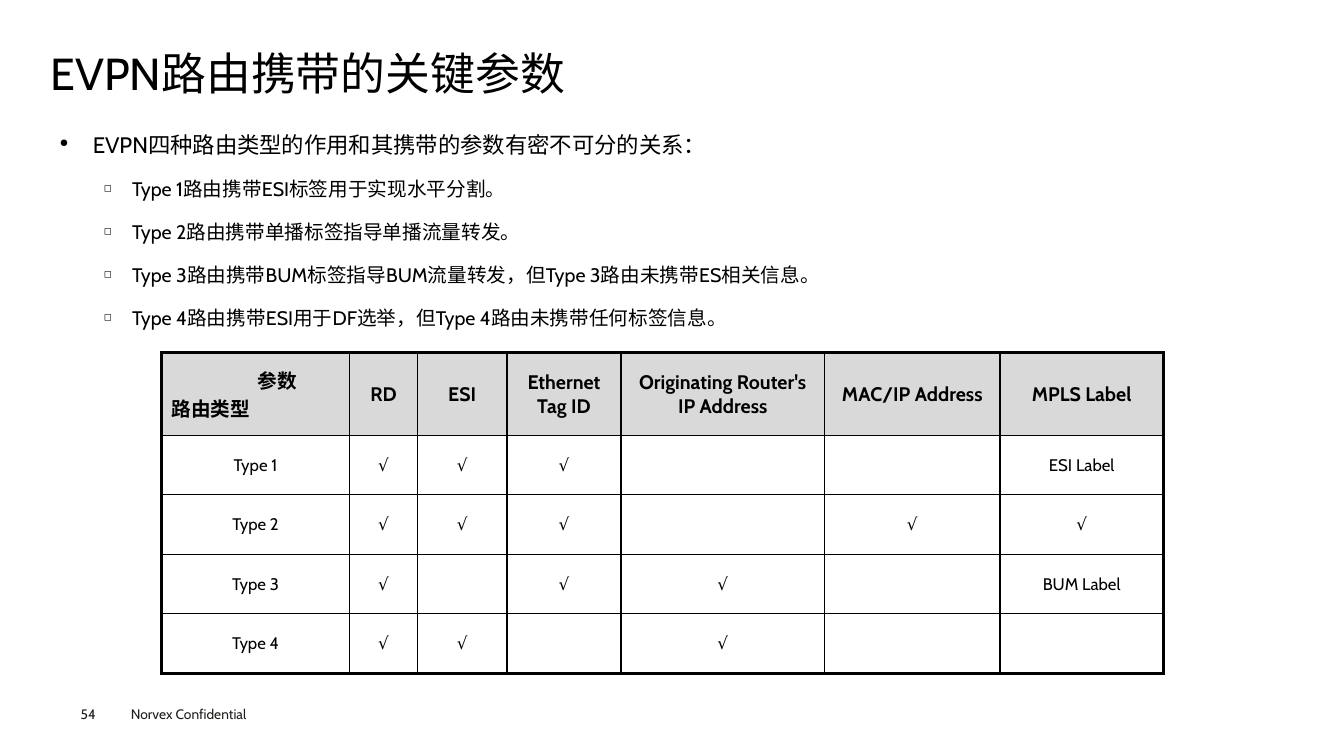
from lxml import etree
from pptx import Presentation
from pptx.dml.color import RGBColor
from pptx.enum import text
from pptx.oxml.ns import qn
from pptx.util import Inches, Pt

FONT = "Cabin"
BLACK, FOOTER_GRAY, HEADER_GRAY = "000000", "1D1D1B", "D9D9D9"
THIN, THICK = 1, 2.25

BODY = [
    "EVPN四种路由类型的作用和其携带的参数有密不可分的关系：",
    "Type 1路由携带ESI标签用于实现水平分割。",
    "Type 2路由携带单播标签指导单播流量转发。",
    "Type 3路由携带BUM标签指导BUM流量转发，但Type 3路由未携带ES相关信息。",
    "Type 4路由携带ESI用于DF选举，但Type 4路由未携带任何标签信息。",
]
COLUMN_WIDTHS = [1.87, 0.67, 0.89, 1.13, 2.02, 1.74, 1.62]
HEADER_HEIGHT, ROW_HEIGHT = 0.82, 0.59
ROUTES = [
    ["参数\n路由类型", "RD", "ESI", "Ethernet Tag ID",
     "Originating Router's IP Address", "MAC/IP Address", "MPLS Label"],
    ["Type 1", "√", "√", "√", "", "", "ESI Label"],
    ["Type 2", "√", "√", "√", "", "√", "√"],
    ["Type 3", "√", "", "√", "√", "", "BUM Label"],
    ["Type 4", "√", "√", "", "√", "", ""],
]


def rgb(code):
    return RGBColor.from_string(code)


def style(paragraph, size, color=BLACK, bold=False):
    font = paragraph.font
    font.name, font.size, font.bold = FONT, Pt(size), bold
    font.color.rgb = rgb(color)


def add_frame(slide, box, margins=(0, 0)):
    """Add a wrapping text box; margins are horizontal and vertical."""
    frame = slide.shapes.add_textbox(*map(Inches, box)).text_frame
    frame.word_wrap = True
    frame.margin_left = frame.margin_right = Inches(margins[0])
    frame.margin_top = frame.margin_bottom = Inches(margins[1])
    return frame


def add_bullet(paragraph, char, left, hanging):
    properties = paragraph._p.get_or_add_pPr()
    properties.set("marL", str(Inches(left)))
    properties.set("indent", str(-Inches(hanging)))
    etree.SubElement(properties, qn("a:buSzPct"), val="50000")
    etree.SubElement(properties, qn("a:buChar"), char=char)


def add_title(slide, box):
    frame = add_frame(slide, box)
    frame.vertical_anchor = text.MSO_ANCHOR.MIDDLE
    title = frame.paragraphs[0]
    title.text = "EVPN路由携带的关键参数"
    title.line_spacing = 0.9
    style(title, 32)


def add_body(slide, box):
    frame = add_frame(slide, box, (0.09, 0.04))
    for index, line in enumerate(BODY):
        paragraph = frame.add_paragraph() if index else frame.paragraphs[0]
        paragraph.text = line
        paragraph.line_spacing = 1.4
        if index:
            paragraph.level = 1
            paragraph.space_before = Pt(7.2)
            add_bullet(paragraph, "◻", 0.72, 0.28)
            style(paragraph, 14)
        else:
            paragraph.alignment = text.PP_ALIGN.JUSTIFY
            add_bullet(paragraph, "●", 0.33, 0.33)
            style(paragraph, 16)


def set_borders(cell, widths):
    """Draw the borders; widths are left, right, top and bottom in points."""
    properties = cell._tc.get_or_add_tcPr()
    for index, (side, width) in enumerate(zip("LRTB", widths)):
        line = etree.Element(qn(f"a:ln{side}"), w=str(Pt(width)))
        fill = etree.SubElement(line, qn("a:solidFill"))
        etree.SubElement(fill, qn("a:srgbClr"), val=BLACK)
        properties.insert(index, line)


def add_route_table(slide, left, top):
    rows, columns = len(ROUTES), len(COLUMN_WIDTHS)
    heights = [HEADER_HEIGHT] + [ROW_HEIGHT] * (rows - 1)
    table = slide.shapes.add_table(
        rows, columns, Inches(left), Inches(top),
        Inches(sum(COLUMN_WIDTHS)), Inches(sum(heights))).table
    for column, width in zip(table.columns, COLUMN_WIDTHS):
        column.width = Inches(width)
    for r, values in enumerate(ROUTES):
        table.rows[r].height = Inches(heights[r])
        for c, value in enumerate(values):
            cell = table.cell(r, c)
            cell.text = value
            cell.vertical_anchor = text.MSO_ANCHOR.MIDDLE
            if r == 0:
                cell.fill.solid()
                cell.fill.fore_color.rgb = rgb(HEADER_GRAY)
            else:
                cell.fill.background()
            for paragraph in cell.text_frame.paragraphs:
                paragraph.alignment = text.PP_ALIGN.CENTER
                style(paragraph, 12 if r else 14, bold=r == 0)
            outer = (c == 0, c == columns - 1, r == 0, r == rows - 1)
            set_borders(cell, [THICK if edge else THIN for edge in outer])
    parameter, route_type = table.cell(0, 0).text_frame.paragraphs
    parameter._p.get_or_add_pPr().set("marL", str(Inches(0.43)))
    route_type.alignment = text.PP_ALIGN.LEFT


def add_footer(slide, left, top):
    number = add_frame(slide, (left, top + 0.05, 0.4, 0.16)).paragraphs[0]
    number.text = "54"
    notice = add_frame(slide, (left + 0.4, top, 1.6, 0.27), (0.1, 0.05)).paragraphs[0]
    notice.text = "Norvex Confidential"
    for paragraph in (number, notice):
        style(paragraph, 9.8, FOOTER_GRAY)


def main():
    deck = Presentation()
    deck.slide_width, deck.slide_height = Inches(13.33), Inches(7.5)
    slide = deck.slides.add_slide(deck.slide_layouts[6])
    add_title(slide, (0.5, 0.49, 12.35, 0.53))
    add_body(slide, (0.5, 1.15, 12.35, 5.34))
    add_route_table(slide, 1.6, 3.5)
    add_footer(slide, 0.8, 6.95)
    deck.save("out.pptx")


if __name__ == "__main__":
    main()
